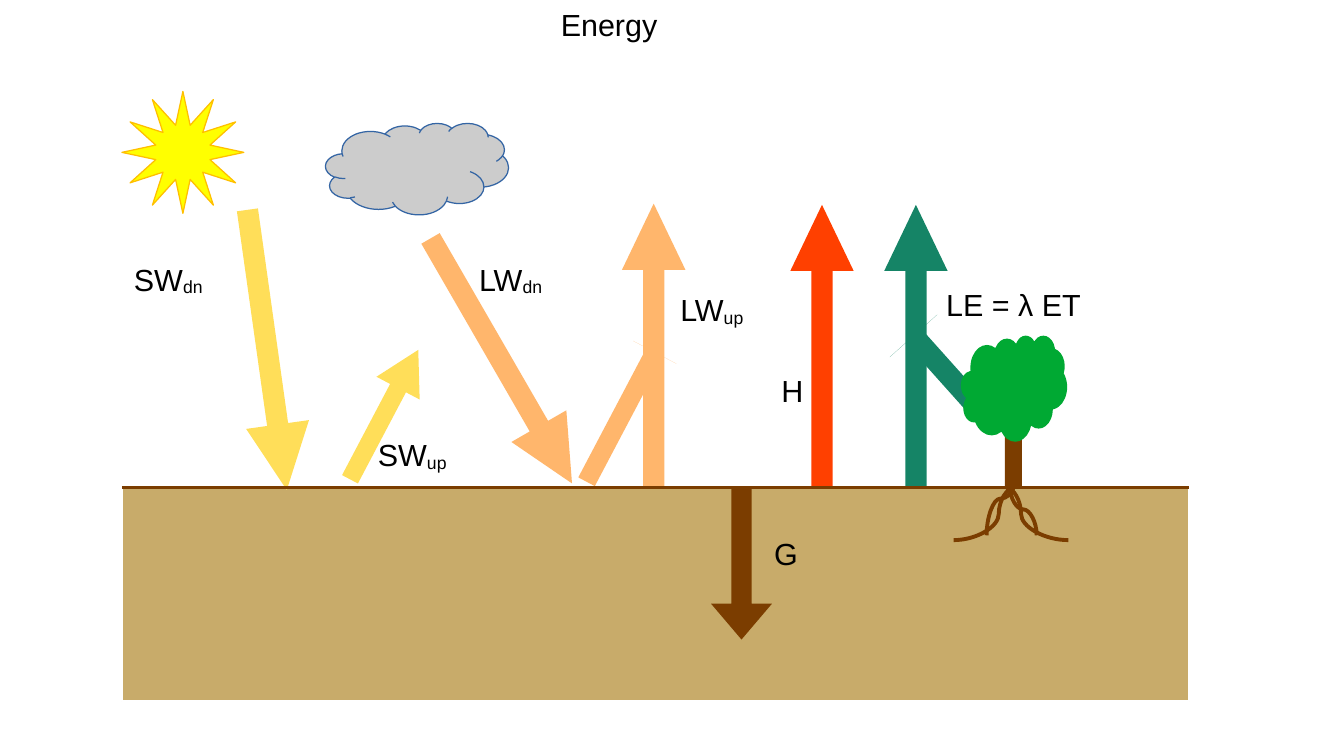
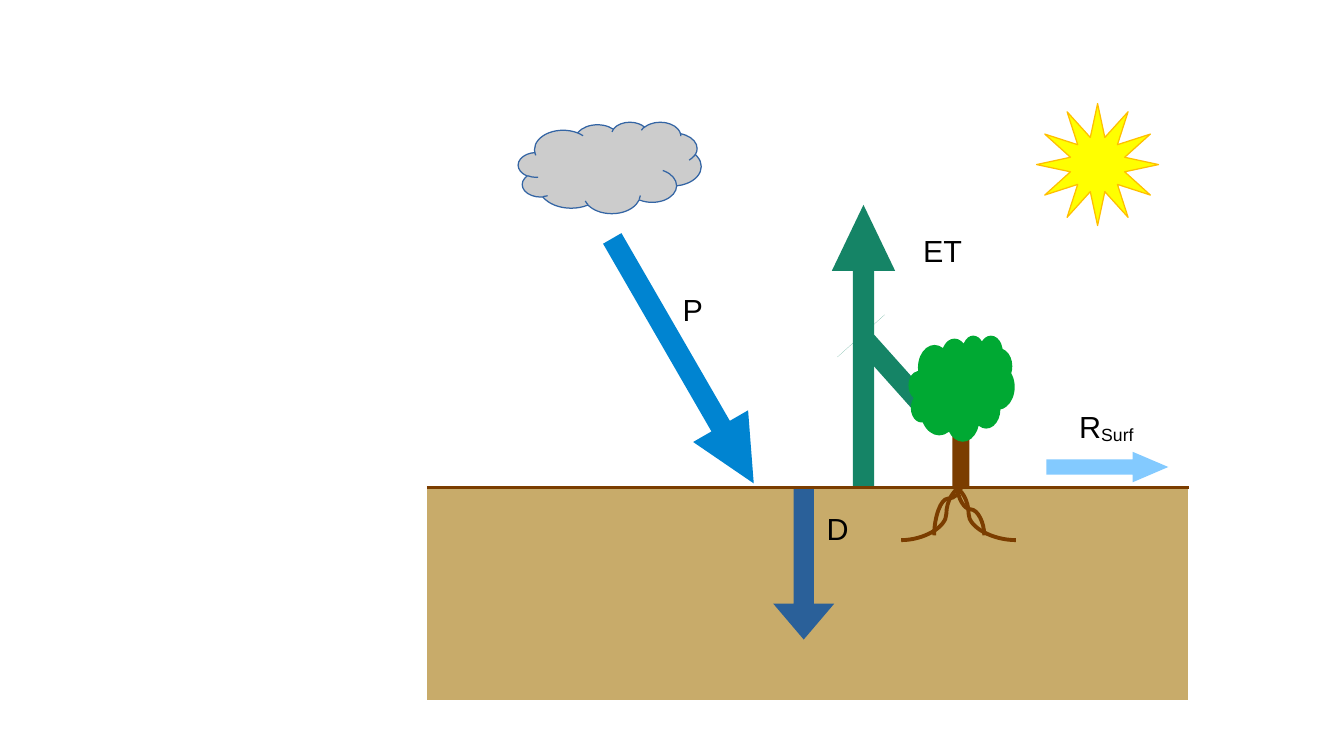
from dataclasses import dataclass

from lxml import etree
from pptx import Presentation
from pptx import util as u
from pptx.dml.color import RGBColor
from pptx.enum import shapes as es, text as et
from pptx.oxml.ns import qn

SIZE = (11.02, 6.2)
CELL = u.Inches(1)      # one column or row of the drawing grid
SURFACE = 4             # row of the soil surface
RIGHT = 9.75            # column where the soil ends


@dataclass(frozen=True)
class Theme:
    font: str = "Arial"
    text_size: float = 18
    subscript: int = -8000
    surface_width: float = 1.5
    root_width: float = 2.3
    text: str = "000000"
    soil: str = "C8AB6A"
    soil_edge: str = "FFFFFF"
    earth: str = "7B3D00"
    sun: str = "FFFF00"
    sun_edge: str = "FFBF00"
    cloud: str = "CCCCCC"
    cloud_edge: str = "3465A4"
    crown: str = "00A933"
    shortwave: str = "FFDE59"
    longwave: str = "FFB66C"
    heat: str = "FF4000"
    vapour: str = "158466"
    rain: str = "0084D1"
    runoff: str = "83CAFF"
    drainage: str = "2A6099"


T = Theme()
# Arrow proportions: shaft share of the thickness, head length per thickness
FLUX = (0.334, 1.043)
REFLECTED = (0.368, 0.886)
INTO_SOIL = (0.334, 0.588)
RUNOFF = (0.501, 1.17)


def grid(*cells):
    return [round(c * CELL) for c in cells]


def rgb(value):
    return RGBColor.from_string(value)


def shape(shapes, kind, x, y, w, h, fill, edge=None, adjust=()):
    sp = shapes.add_shape(kind, *grid(x, y, w, h))
    sp.shadow.inherit = False
    sp.fill.solid()
    sp.fill.fore_color.rgb = rgb(fill)
    if edge:
        sp.line.color.rgb = rgb(edge)
        sp.line.width = 0
    else:
        sp.line.fill.background()
    for i, value in enumerate(adjust):
        sp.adjustments[i] = value
    return sp


def arrow(shapes, cx, cy, length, thick, angle, fill, form=FLUX):
    """Arrow centred on (cx, cy), turned clockwise from pointing right."""
    sp = shape(shapes, es.MSO_SHAPE.RIGHT_ARROW, cx - length / 2, cy - thick / 2,
               length, thick, fill, adjust=form)
    sp.rotation = angle


def flux(shapes, cx, cy, angle, fill):
    arrow(shapes, cx, cy, 2.32, 0.52, angle, fill)


def into_soil(shapes, cx, fill):
    arrow(shapes, cx, 4.62, 1.25, 0.5, 90, fill, INTO_SOIL)


def label(shapes, x, y, main, sub="", w=1, h=0.66):
    tf = shapes.add_textbox(*grid(x, y, w, h)).text_frame
    tf.word_wrap = True
    tf.auto_size = et.MSO_AUTO_SIZE.SHAPE_TO_FIT_TEXT
    p = tf.paragraphs[0]
    for part in filter(None, (main, sub)):
        r = p.add_run()
        r.text = part
        r.font.name = T.font
        r.font.size = u.Pt(T.text_size)
        r.font.color.rgb = rgb(T.text)
    if sub:
        r.font._element.set("baseline", str(T.subscript))


def line(shapes, kind, x0, y0, x1, y1, width):
    cx = shapes.add_connector(kind, *grid(x0, y0, x1, y1))
    cx.line.color.rgb = rgb(T.earth)
    cx.line.width = u.Pt(width)
    etree.SubElement(cx._element.spPr, qn("a:effectLst"))
    return cx


def root(shapes, x0, y0, x1, y1, bend, upright=False):
    """Curve that turns at share `bend`; an upright one leaves downwards."""
    turn = 0
    if upright:
        mx, my, half_w, half_h = (x0 + x1) / 2, (y0 + y1) / 2, (y1 - y0) / 2, abs(x1 - x0) / 2
        turn, side = (90, -1) if x1 < x0 else (270, 1)
        x0, x1 = mx + side * half_w, mx - side * half_w
        y0, y1 = my - half_h, my + half_h
    cx = line(shapes, es.MSO_CONNECTOR.CURVE, x0, y0, x1, y1, T.root_width)
    spPr = cx._element.spPr
    if turn:
        spPr.find(qn("a:xfrm")).set("rot", str(turn * 60000))
    geom = spPr.find(qn("a:prstGeom"))
    guides = geom.find(qn("a:avLst"))
    if guides is None:
        guides = etree.SubElement(geom, qn("a:avLst"))
    etree.SubElement(guides, qn("a:gd"), name="adj1", fmla=f"val {round(bend * 100000)}")


def soil(shapes, left):
    shape(shapes, es.MSO_SHAPE.RECTANGLE, left, SURFACE, RIGHT - left, 1.75, T.soil, T.soil_edge)


def surface(shapes, left):
    line(shapes, es.MSO_CONNECTOR.STRAIGHT, left, SURFACE, RIGHT, SURFACE, T.surface_width)


def sun(shapes, x, y):
    shape(shapes, es.MSO_SHAPE.STAR_12_POINT, x, y, 1, 1, T.sun, T.sun_edge, [0.23])


def cloud(shapes, x, y):
    shape(shapes, es.MSO_SHAPE.CLOUD, x, y, 1.5, 0.75, T.cloud, T.cloud_edge)


def transpiring_tree(shapes, x):
    """Tree with roots, and the vapour arrow that rises at column x."""
    shape(shapes, es.MSO_SHAPE.RECTANGLE, x + 0.73, 3.5, 0.14, 0.5, T.earth)
    vapour = shapes.add_group_shape().shapes
    flux(vapour, x, 2.84, 270, T.vapour)
    arrow(vapour, x + 0.28, 3.09, 0.9, 0.52, 228.2, T.vapour, (0.334, 0))
    shape(shapes, es.MSO_SHAPE.CLOUD, x + 0.37, 2.75, 0.87, 0.87, T.crown)
    root(shapes, x + 0.74, SURFACE, x + 1.25, 4.43, 0.24)
    root(shapes, x + 0.81, SURFACE, x + 0.31, 4.43, 0.26)
    root(shapes, x + 0.8, 3.99, x + 0.58, 4.39, 0.25, upright=True)
    root(shapes, x + 0.77, 3.99, x + 0.99, 4.39, 0.47, upright=True)


def energy_slide(shapes):
    left = 1
    soil(shapes, left)
    flux(shapes, 2.19, 2.87, 82, T.shortwave)
    arrow(shapes, 3.15, 3.4, 1.2, 0.4, 297.8, T.shortwave, REFLECTED)
    flux(shapes, 4.11, 2.96, 60, T.longwave)
    arrow(shapes, 5.09, 3.42, 1.2, 0.4, 297.8, T.longwave, (0.382, 0))
    flux(shapes, 5.36, 2.83, 270, T.longwave)
    flux(shapes, 6.74, 2.84, 270, T.heat)
    into_soil(shapes, 6.08, T.earth)
    sun(shapes, 1, 0.75)
    cloud(shapes, 2.67, 1.01)
    transpiring_tree(shapes, 7.51)
    surface(shapes, left)
    for x, y, main, sub in (
        (3.83, 2.09, "LW", "dn"),
        (5.48, 2.34, "LW", "up"),
        (1, 2.09, "SW", "dn"),
        (6.31, 3, "H", ""),
        (3, 3.53, "SW", "up"),
        (6.25, 4.34, "G", ""),
    ):
        label(shapes, x, y, main, sub)
    label(shapes, 7.66, 2.3, "LE = λ ET", w=1.75)
    label(shapes, 4.5, 0, "Energy", w=2.5, h=0.38)


def water_slide(shapes):
    left = 3.5
    soil(shapes, left)
    flux(shapes, 5.6, 2.96, 60, T.rain)
    arrow(shapes, 9.08, 3.83, 1, 0.25, 0, T.runoff, RUNOFF)
    into_soil(shapes, 6.59, T.drainage)
    sun(shapes, 8.5, 0.85)
    cloud(shapes, 4.25, 1)
    transpiring_tree(shapes, 7.08)
    surface(shapes, left)
    label(shapes, 5.5, 2.34, "P")
    label(shapes, 8.75, 3.3, "R", "Surf", w=0.75, h=0.41)
    label(shapes, 7.47, 1.85, "ET", w=1.09, h=0.45)
    label(shapes, 6.68, 4.13, "D")


def main():
    prs = Presentation()
    prs.slide_width, prs.slide_height = grid(*SIZE)
    for draw in (energy_slide, water_slide):
        draw(prs.slides.add_slide(prs.slide_layouts[6]).shapes)
    prs.save("out.pptx")


if __name__ == "__main__":
    main()
